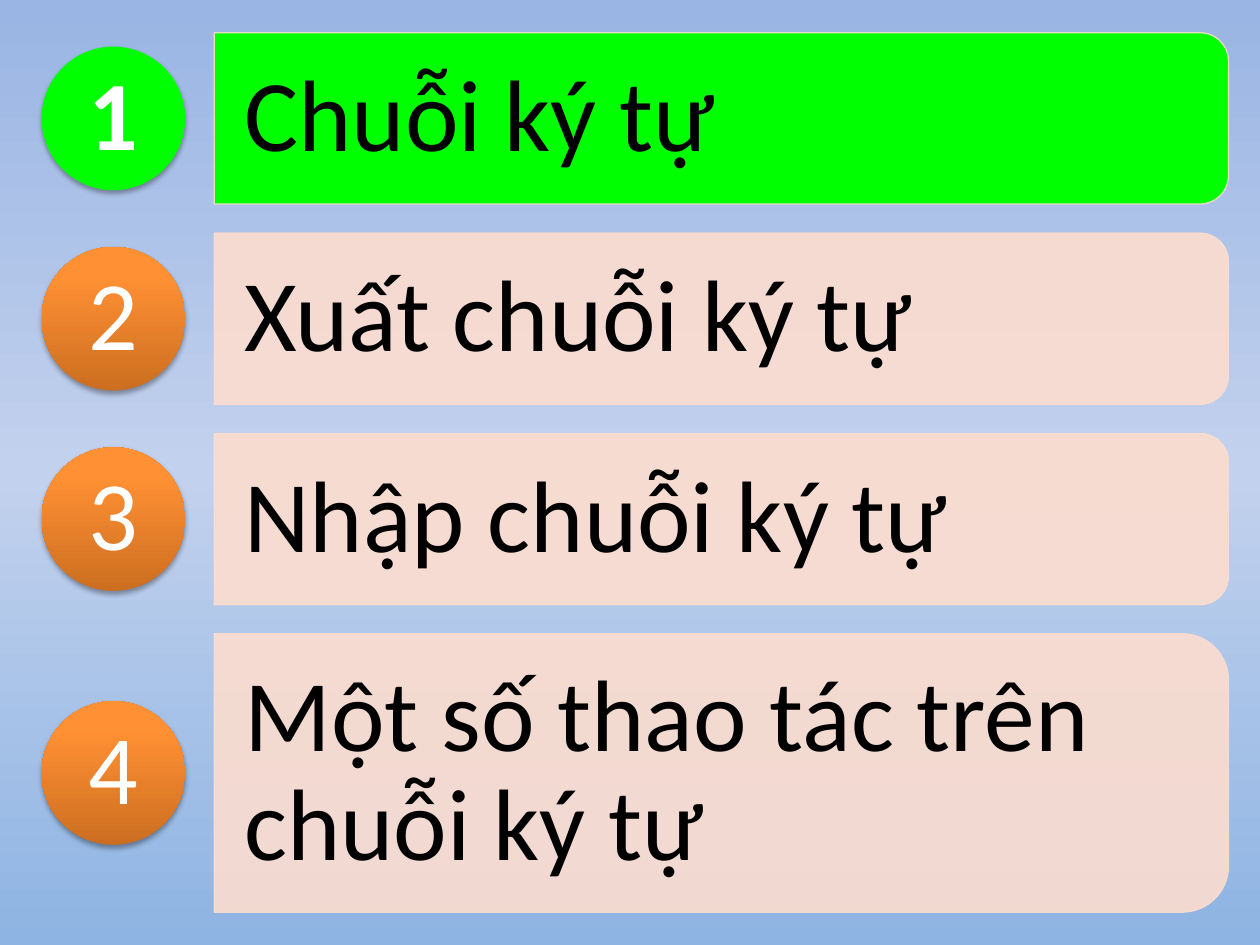
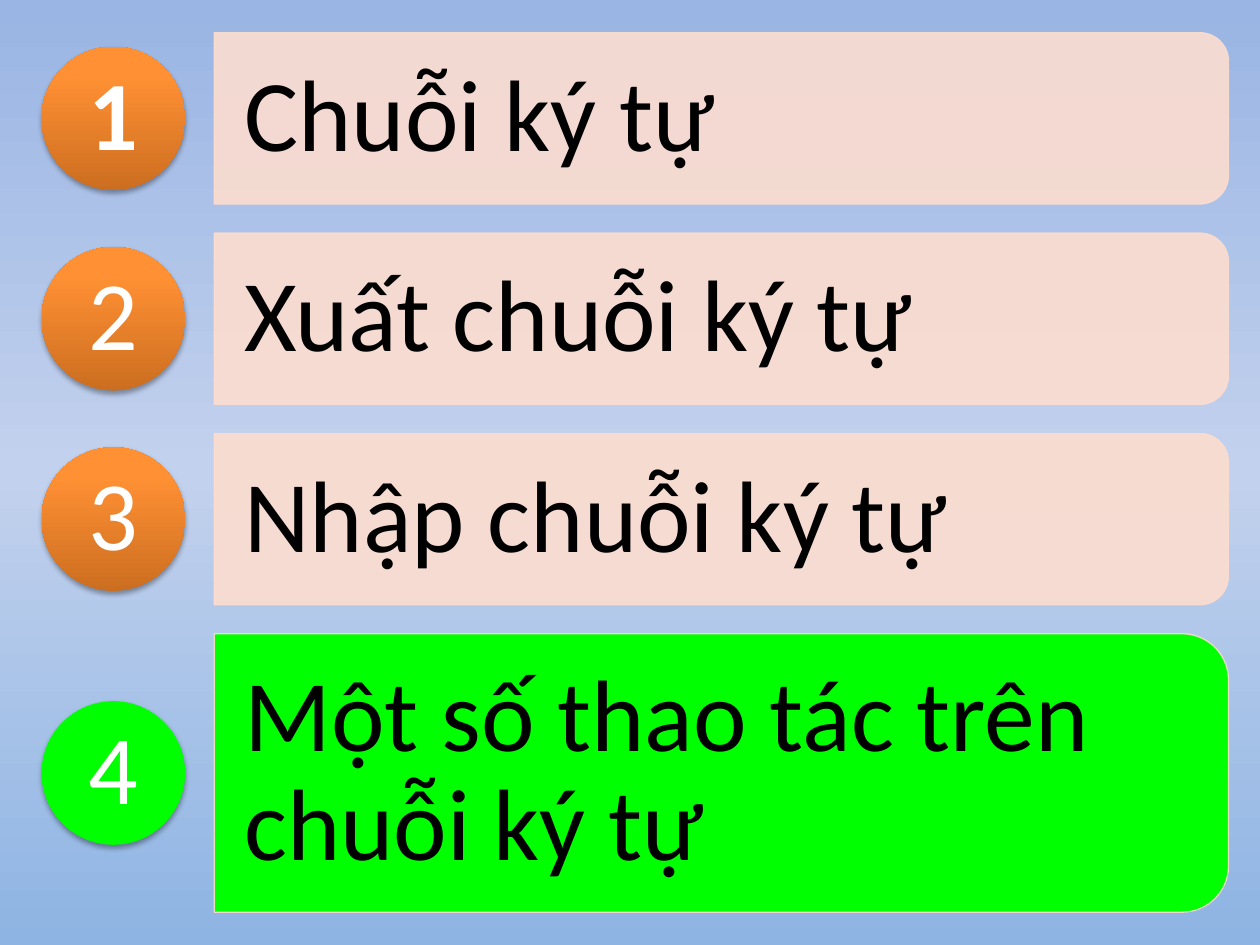
"""Build two agenda slides, each highlighting one lesson topic."""
from dataclasses import dataclass
from math import sqrt
from typing import Any

import lxml.etree
import pptx
import pptx.dml.color
import pptx.enum.shapes
import pptx.enum.text
import pptx.oxml.ns
import pptx.util

Inches = pptx.util.Inches
Shape = pptx.enum.shapes.MSO_SHAPE
Align = pptx.enum.text.PP_ALIGN
qn = pptx.oxml.ns.qn

COLORS = {
    "active": "00FF00",
    "band": "FCDDCF",
    "text": "000000",
    "number": "FFFFFF",
    "shadow": "000000",
}
PAGE_GRADIENT = [(0, "9AB5E4"), (50, "C2D1ED"), (100, "8EB4E3")]
BADGE_GRADIENT = [(0, "CC6E20"), (80, "FF9034"), (100, "FF9136")]
FONT = "Calibri"

# Row geometry, in inches
FIRST_TOP = 0.26
ROW_GAP = 0.23
BAND_LEFT = 1.7
BAND_WIDTH = 8.05
BADGE_LEFT = 0.33
BADGE_SIZE = 1.14
CORNER = 1 / 6  # corner radius as a share of the band height


@dataclass(frozen=True)
class Topic:
    """One agenda row."""

    number: str
    title: str
    height: float = 1.36
    bold: bool = False


@dataclass(frozen=True)
class TextStyle:
    """Look of the text in one kind of box."""

    size: int
    color: str
    align: Any
    inset_x: float = 0
    inset_y: float = 0


TOPICS = [
    Topic("1", "Chuỗi ký tự", bold=True),
    Topic("2", "Xuất chuỗi ký tự"),
    Topic("3", "Nhập chuỗi ký tự"),
    Topic("4", "Một số thao tác trên chuỗi ký tự", height=2.21),
]
ACTIVE_TOPICS = ["1", "4"]  # one slide for each
TITLE_STYLE = TextStyle(58, "text", Align.LEFT, 0.24, 0.16)
NUMBER_STYLE = TextStyle(56, "number", Align.CENTER)


def rgb(name: str) -> pptx.dml.color.RGBColor:
    """Return a named colour."""
    return pptx.dml.color.RGBColor.from_string(COLORS[name])


def add_node(parent: Any, tag: str, **attributes: Any) -> Any:
    """Append a DrawingML element and return it."""
    values = {key: str(value) for key, value in attributes.items()}
    return lxml.etree.SubElement(parent, qn(tag), values)


def set_gradient(fill: Any, owner: Any, stops: list[tuple[int, str]], angle: int) -> None:
    """Give a fill a linear gradient; the angle runs clockwise in degrees."""
    fill.gradient()
    gradient = owner.find(".//" + qn("a:gradFill"))
    for child in list(gradient):
        gradient.remove(child)
    stop_list = add_node(gradient, "a:gsLst")
    for position, color in stops:
        stop = add_node(stop_list, "a:gs", pos=position * 1000)
        add_node(stop, "a:srgbClr", val=color)
    add_node(gradient, "a:lin", ang=angle * 60000, scaled=0)


def set_solid(fill: Any, owner: Any, color: str, opacity: int = 100) -> None:
    """Give a fill one colour with an opacity in percent."""
    fill.solid()
    fill.fore_color.rgb = rgb(color)
    if opacity < 100:
        node = owner.find(qn("a:solidFill")).find(qn("a:srgbClr"))
        add_node(node, "a:alpha", val=opacity * 1000)


def add_shadow(shape: Any) -> None:
    """Put a soft shadow below a shape."""
    effects = shape._element.spPr.find(qn("a:effectLst"))
    shadow = add_node(
        effects, "a:outerShdw", blurRad=pptx.util.Pt(3.1), dist=pptx.util.Pt(1.8),
        dir=90 * 60000, rotWithShape=0,
    )
    color = add_node(shadow, "a:srgbClr", val=COLORS["shadow"])
    add_node(color, "a:alpha", val=35000)


def add_text(page: Any, left: float, top: float, width: float, height: float,
             text: str, style: TextStyle, bold: bool = False) -> None:
    """Add a vertically centred one-paragraph text box."""
    box = page.shapes.add_textbox(Inches(left), Inches(top), Inches(width), Inches(height))
    frame = box.text_frame
    frame.word_wrap = True
    frame.vertical_anchor = pptx.enum.text.MSO_ANCHOR.MIDDLE
    frame.margin_left = frame.margin_right = Inches(style.inset_x)
    frame.margin_top = frame.margin_bottom = Inches(style.inset_y)
    para = frame.paragraphs[0]
    para.alignment = style.align
    para.line_spacing = 0.9
    space_after = add_node(para._p.get_or_add_pPr(), "a:spcAft")
    add_node(space_after, "a:spcPct", val=35000)
    span = para.add_run()
    span.text = text
    span.font.name = FONT
    span.font.size = pptx.util.Pt(style.size)
    span.font.bold = bold
    span.font.color.rgb = rgb(style.color)


def add_band(page: Any, topic: Topic, top: float, active: bool) -> None:
    """Draw the band, rounded on its right side, and its title."""
    # The shape rounds its top, so it is laid out upright and turned about its centre.
    left = BAND_LEFT + (BAND_WIDTH - topic.height) / 2
    upright_top = top + (topic.height - BAND_WIDTH) / 2
    band = page.shapes.add_shape(
        Shape.ROUND_2_SAME_RECTANGLE, Inches(left), Inches(upright_top),
        Inches(topic.height), Inches(BAND_WIDTH),
    )
    band.rotation = 90
    band.adjustments[0] = CORNER
    band.shadow.inherit = False
    properties = band._element.spPr
    if active:
        set_solid(band.fill, properties, "active")
    else:
        set_solid(band.fill, properties, "band", 90)
    band.line.width = pptx.util.Pt(0.75)
    set_solid(band.line.fill, properties.find(qn("a:ln")), "band", 90)

    inset = topic.height * CORNER * (1 - sqrt(0.5))
    add_text(page, BAND_LEFT, top + inset, BAND_WIDTH - inset,
             topic.height - 2 * inset, topic.title, TITLE_STYLE)


def add_badge(page: Any, topic: Topic, top: float, active: bool) -> None:
    """Draw the numbered circle, centred on its band."""
    badge_top = top + (topic.height - BADGE_SIZE) / 2
    badge = page.shapes.add_shape(
        Shape.OVAL, Inches(BADGE_LEFT), Inches(badge_top),
        Inches(BADGE_SIZE), Inches(BADGE_SIZE),
    )
    badge.shadow.inherit = False
    badge.line.fill.background()
    if active:
        set_solid(badge.fill, badge._element.spPr, "active")
    else:
        set_gradient(badge.fill, badge._element.spPr, BADGE_GRADIENT, 270)
    add_shadow(badge)

    side = BADGE_SIZE * sqrt(0.5)
    inset = (BADGE_SIZE - side) / 2
    add_text(page, BADGE_LEFT + inset, badge_top + inset, side, side,
             topic.number, NUMBER_STYLE, topic.bold)


def add_agenda(deck: Any, active_number: str) -> None:
    """Add one agenda slide with the given topic highlighted."""
    page = deck.slides.add_slide(deck.slide_layouts.get_by_name("Blank"))
    top = FIRST_TOP
    for topic in TOPICS:
        active = topic.number == active_number
        add_band(page, topic, top, active)
        add_badge(page, topic, top, active)
        top += topic.height + ROW_GAP


def main() -> None:
    """Build and save the deck."""
    deck = pptx.Presentation()
    deck.slide_width = Inches(10)
    deck.slide_height = Inches(7.5)
    master = deck.slide_master
    set_gradient(master.background.fill, master._element, PAGE_GRADIENT, 90)
    for number in ACTIVE_TOPICS:
        add_agenda(deck, number)
    deck.save("out.pptx")


main()
